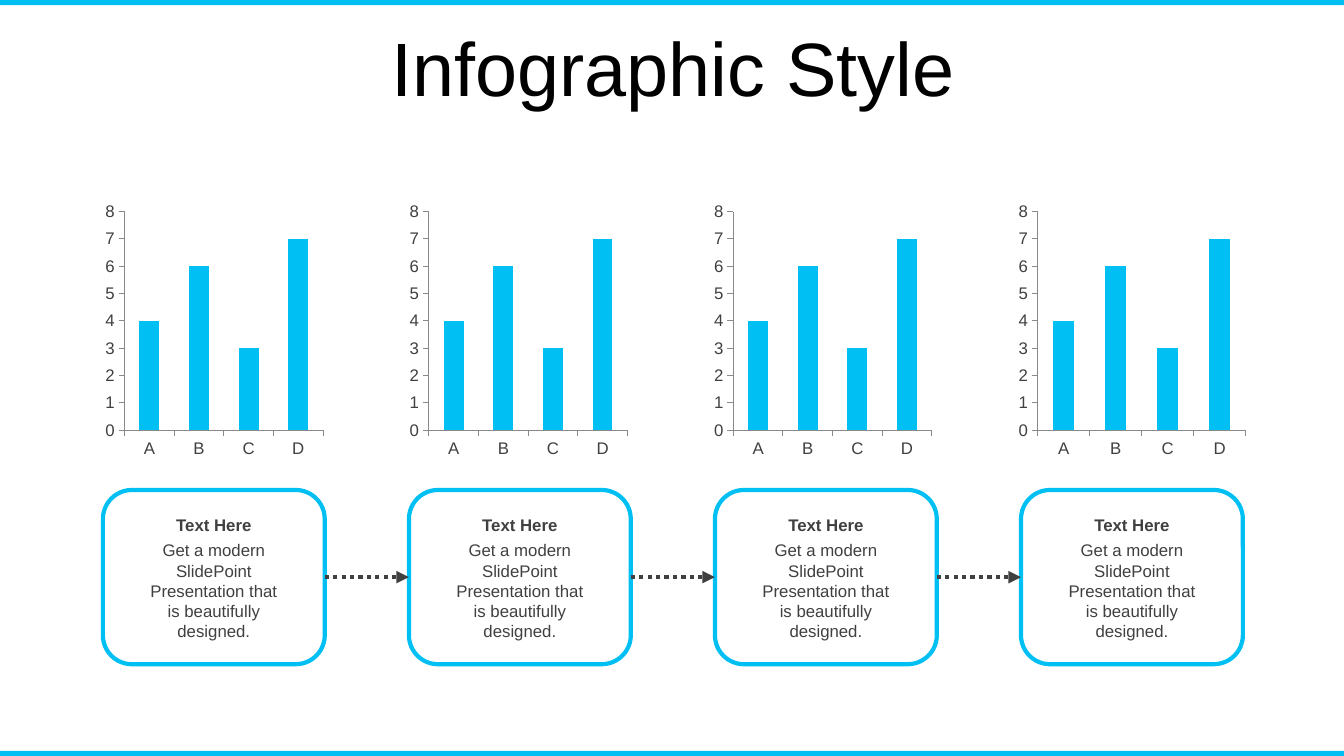
from dataclasses import dataclass

from pptx import Presentation
from pptx.chart.data import CategoryChartData
from pptx.dml.color import RGBColor
from pptx.enum.chart import XL_CHART_TYPE as ChartType, XL_TICK_MARK as TickMark
from pptx.enum.dml import MSO_LINE as Dash
from pptx.enum.shapes import MSO_CONNECTOR as Connector, MSO_SHAPE as Shape
from pptx.enum.text import MSO_ANCHOR as Anchor, MSO_AUTO_SIZE as AutoSize, PP_ALIGN as Align
from pptx.oxml.ns import qn
from pptx.util import Pt


@dataclass(frozen=True)
class Theme:
    font: str = "Arial"
    accent: RGBColor = RGBColor(0x00, 0xBF, 0xF3)
    ink: RGBColor = RGBColor(0x40, 0x40, 0x40)
    title_ink: RGBColor = RGBColor(0, 0, 0)
    axis: RGBColor = RGBColor(0x89, 0x89, 0x89)
    paper: RGBColor = RGBColor(0xFF, 0xFF, 0xFF)
    title_size: int = 54
    text_size: int = 12
    line_width: int = 3


THEME = Theme()
PAGE_WIDTH, PAGE_HEIGHT = 960, 540
BAR_HEIGHT = 3.6
CARD_LEFT, CARD_TOP, CARD_WIDTH, CARD_HEIGHT = 73.5, 350, 158.5, 124.5
CARD_PITCH = 218.6
CHART_LEFT, CHART_TOP, CHART_HEIGHT, CHART_PITCH = 72, 141, 190, 217.4
CHART_WIDTHS = [162, 162, 162, 169]
TEXT_INSET, TEXT_WIDTH = 25.3, 108
HEADING = "Text Here"
BODY = "Get a modern SlidePoint Presentation that is beautifully designed."
VALUES = {"A": 4, "B": 6, "C": 3, "D": 7}


def points(*lengths):
    return [Pt(length) for length in lengths]


def set_font(font, size=THEME.text_size, color=THEME.ink, bold=False):
    for name, value in {"name": THEME.font, "size": Pt(size), "bold": bold}.items():
        setattr(font, name, value)
    font.color.rgb = color


def add_title(page, text):
    title = page.shapes.title
    title.left, title.top, title.width, title.height = points(25, 23, 911.5, 57)
    frame = title.text_frame
    frame.text = text
    frame.auto_size = AutoSize.NONE
    frame.vertical_anchor = Anchor.MIDDLE
    para = frame.paragraphs[0]
    para.alignment = Align.CENTER
    para.line_spacing = 0.9
    set_font(para.font, THEME.title_size, THEME.title_ink)


def add_edge_bar(page, top):
    bar = page.shapes.add_shape(Shape.RECTANGLE, *points(0, top, PAGE_WIDTH, BAR_HEIGHT))
    bar.shadow.inherit = False
    bar.fill.solid()
    bar.fill.fore_color.rgb = THEME.accent
    bar.line.fill.background()


def add_text(group, text, left, top, height, bold=False):
    box = group.shapes.add_textbox(*points(left, top, TEXT_WIDTH, height))
    frame = box.text_frame
    frame.word_wrap = True
    frame.auto_size = AutoSize.SHAPE_TO_FIT_TEXT
    frame.text = text
    para = frame.paragraphs[0]
    para.alignment = Align.CENTER
    set_font(para.font, bold=bold)


def add_card(page, left):
    """Add an outlined card with its heading and body, and return the outline."""
    card = page.shapes.add_shape(
        Shape.ROUNDED_RECTANGLE, *points(left, CARD_TOP, CARD_WIDTH, CARD_HEIGHT))
    card.shadow.inherit = False
    card.fill.solid()
    card.fill.fore_color.rgb = THEME.paper
    card.line.color.rgb = THEME.accent
    card.line.width = Pt(THEME.line_width)
    group = page.shapes.add_group_shape()
    add_text(group, BODY, left + TEXT_INSET, 382.3, 80)
    add_text(group, HEADING, left + TEXT_INSET, 364.3, 21.6, bold=True)
    return card


def add_arrow(page, start, end):
    arrow = page.shapes.add_connector(Connector.STRAIGHT, *points(0, 0, 0, 0))
    arrow.begin_connect(start, 3)
    arrow.end_connect(end, 1)
    arrow.line.color.rgb = THEME.ink
    arrow.line.width = Pt(THEME.line_width)
    arrow.line.dash_style = Dash.ROUND_DOT
    outline = arrow.line._get_or_add_ln()
    outline.append(outline.makeelement(qn("a:tailEnd"), {"type": "triangle"}))
    properties = outline.getparent()
    properties.append(properties.makeelement(qn("a:effectLst"), {}))


def format_axis(axis):
    settings = {
        "has_major_gridlines": False,
        "major_tick_mark": TickMark.OUTSIDE,
        "minor_tick_mark": TickMark.NONE,
    }
    for name, value in settings.items():
        setattr(axis, name, value)
    axis.format.line.color.rgb = THEME.axis
    axis.format.line.width = Pt(0.75)
    set_font(axis.tick_labels.font)


def add_column_chart(page, left, width):
    data = CategoryChartData()
    data.categories = list(VALUES)
    data.add_series("Series 1", list(VALUES.values()))
    chart = page.shapes.add_chart(
        ChartType.COLUMN_STACKED, *points(left, CHART_TOP, width, CHART_HEIGHT), data).chart
    chart.has_legend = False
    chart.has_title = False
    set_font(chart.font)
    for axis in (chart.category_axis, chart.value_axis):
        format_axis(axis)
    scale = {"minimum_scale": 0, "maximum_scale": 8, "major_unit": 1}
    for name, value in scale.items():
        setattr(chart.value_axis, name, value)
    plot = chart.plots[0]
    for name, value in {"gap_width": 150, "overlap": 100, "vary_by_categories": False}.items():
        setattr(plot, name, value)
    fill = plot.series[0].format.fill
    fill.solid()
    fill.fore_color.rgb = THEME.accent


def main():
    deck = Presentation()
    deck.slide_width, deck.slide_height = points(PAGE_WIDTH, PAGE_HEIGHT)
    page = deck.slides.add_slide(deck.slide_layouts[5])
    for top in (0, PAGE_HEIGHT - BAR_HEIGHT):
        add_edge_bar(page, top)
    add_title(page, "Infographic Style")
    cards = [add_card(page, CARD_LEFT + column * CARD_PITCH)
             for column in range(len(CHART_WIDTHS))]
    for start, end in zip(cards, cards[1:]):
        add_arrow(page, start, end)
    for column, width in enumerate(CHART_WIDTHS):
        add_column_chart(page, CHART_LEFT + column * CHART_PITCH, width)
    deck.save("out.pptx")


if __name__ == "__main__":
    main()
